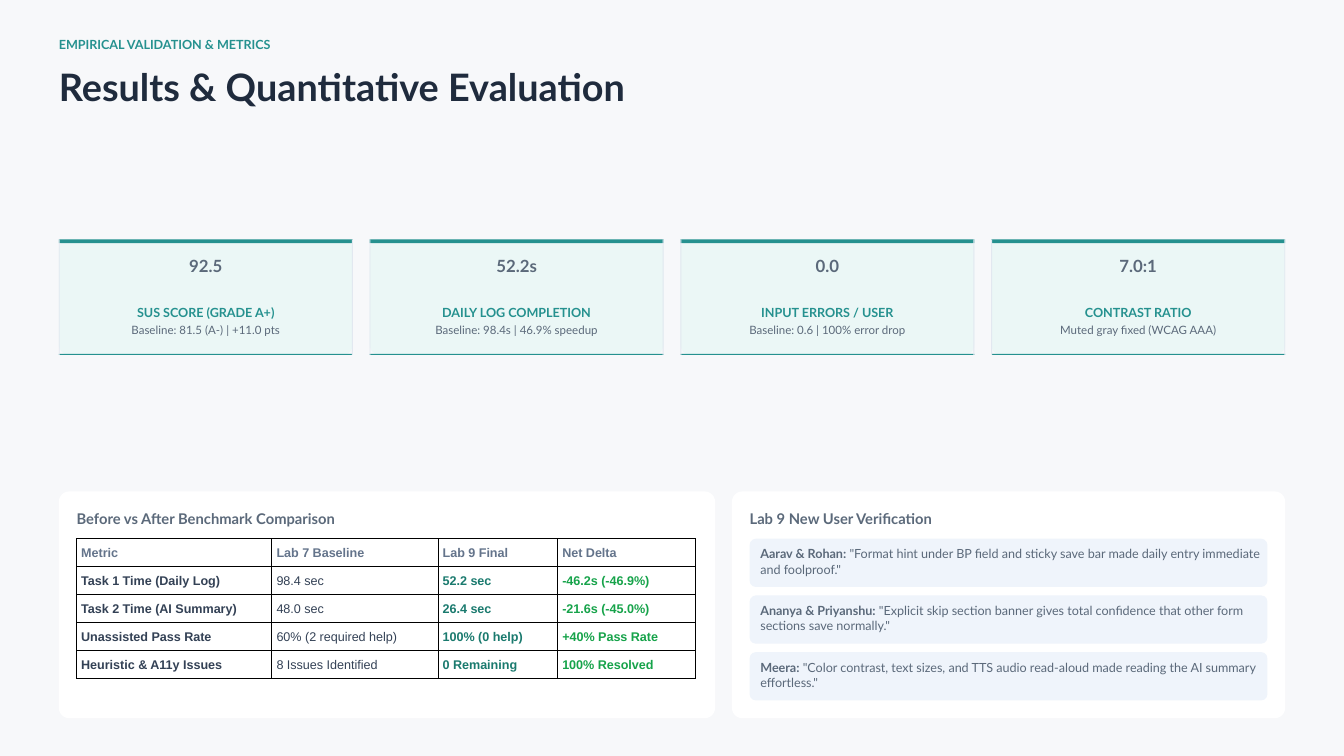
from lxml.etree import SubElement
from pptx import Presentation
from pptx.dml.color import RGBColor
from pptx.enum.shapes import MSO_SHAPE as Shape
from pptx.enum.text import MSO_ANCHOR as Anchor, PP_ALIGN as Align
from pptx.oxml.ns import qn
from pptx.util import Pt

# Content
KICKER = "EMPIRICAL VALIDATION & METRICS"
TITLE = "Results & Quantitative Evaluation"
METRICS = [
    ("92.5", "SUS SCORE (GRADE A+)", "Baseline: 81.5 (A-) | +11.0 pts"),
    ("52.2s", "DAILY LOG COMPLETION", "Baseline: 98.4s | 46.9% speedup"),
    ("0.0", "INPUT ERRORS / USER", "Baseline: 0.6 | 100% error drop"),
    ("7.0:1", "CONTRAST RATIO", "Muted gray fixed (WCAG AAA)"),
]
TABLE_TITLE = "Before vs After Benchmark Comparison"
BENCHMARKS = [
    ("Metric", "Lab 7 Baseline", "Lab 9 Final", "Net Delta"),
    ("Task 1 Time (Daily Log)", "98.4 sec", "52.2 sec", "-46.2s (-46.9%)"),
    ("Task 2 Time (AI Summary)", "48.0 sec", "26.4 sec", "-21.6s (-45.0%)"),
    ("Unassisted Pass Rate", "60% (2 required help)", "100% (0 help)", "+40% Pass Rate"),
    ("Heuristic & A11y Issues", "8 Issues Identified", "0 Remaining", "100% Resolved"),
]
QUOTES_TITLE = "Lab 9 New User Verification"
QUOTES = [
    ("Aarav & Rohan:", ' "Format hint under BP field and sticky save bar made daily entry '
                       'immediate and foolproof."'),
    ("Ananya & Priyanshu:", ' "Explicit skip section banner gives total confidence that other '
                            'form sections save normally."'),
    ("Meera:", ' "Color contrast, text sizes, and TTS audio read-aloud made reading the AI '
               'summary effortless."'),
]

# Colours and measures, in points
TEAL, GRAY, NAVY, EDGE, WHITE = "25918F", "5B697A", "1F2B3D", "E2E8F0", "FFFFFF"
MINT, ICE, BACKGROUND = "EBF7F6", "EFF4FB", "F7F8FA"
HEADER_COLOR, COLUMN_COLORS = "64748B", ("334155", "334155", "1A7A6E", "16A34A")
MARGIN, CONTENT_WIDTH, GAP = 63, 1314, 18
CARD_TOP, CARD_HEIGHT = 256.5, 123.75
PANEL_TOP, PANEL_HEIGHT, PANEL_PAD = 526.5, 243, 19
TABLE_PANEL_WIDTH = 703.2
BODY_TOP = 577.2
COLUMN_WIDTHS, ROW_HEIGHT = (209.3, 178, 128.2, 147.8), 30
QUOTE_HEIGHT, QUOTE_STEP = 51.75, 60.75


def color(value):
    return RGBColor.from_string(value)


def add_block(x, y, width, height, fill, radius=0):
    kind = Shape.ROUNDED_RECTANGLE if radius else Shape.RECTANGLE
    block = page.shapes.add_shape(kind, Pt(x), Pt(y), Pt(width), Pt(height))
    if radius:
        block.adjustments[0] = radius / min(width, height)
    block.shadow.inherit = False
    block.fill.solid()
    block.fill.fore_color.rgb = color(fill)
    block.line.fill.background()


def write(frame, text, size=13.5, fill=GRAY, bold=False, font="Lato", align=Align.LEFT, lead=""):
    """Fill a frame with one paragraph; lead is a bold opening."""
    para = frame.paragraphs[0]
    para.alignment = align
    para.line_spacing = Pt(round(size * 1.2, 1))
    for words, heavy in ((lead, True), (text, bold)):
        if words:
            span = para.add_run()
            span.text = words
            span.font.name, span.font.size, span.font.bold = font, Pt(size), heavy
            span.font.color.rgb = color(fill)


def add_text(x, y, width, height, text, **style):
    box = page.shapes.add_textbox(Pt(x), Pt(y), Pt(width), Pt(height))
    frame = box.text_frame
    frame.word_wrap = True
    frame.margin_left = frame.margin_right = frame.margin_top = frame.margin_bottom = 0
    write(frame, text, **style)


def add_borders(cell):
    properties = cell._tc.get_or_add_tcPr()
    for side in ("lnL", "lnR", "lnT", "lnB"):
        line = SubElement(properties, qn(f"a:{side}"), w=str(Pt(0.96)))
        SubElement(SubElement(line, qn("a:solidFill")), qn("a:srgbClr"), val="000000")


deck = Presentation()
deck.slide_width, deck.slide_height = Pt(1440), Pt(810)
page = deck.slides.add_slide(deck.slide_layouts[6])
page.background.fill.solid()
page.background.fill.fore_color.rgb = color(BACKGROUND)

# Heading
add_text(MARGIN, 39.4, CONTENT_WIDTH, 17, KICKER, fill=TEAL, bold=True)
add_text(MARGIN, 68.6, CONTENT_WIDTH, 47.3, TITLE, size=40.5, fill=NAVY, bold=True)

# Metric cards
card_width = (CONTENT_WIDTH - GAP * (len(METRICS) - 1)) / len(METRICS)
for index, (value, label, note) in enumerate(METRICS):
    x = MARGIN + index * (card_width + GAP)
    add_block(x, CARD_TOP, card_width, CARD_HEIGHT, MINT, radius=11.25)
    add_block(x, CARD_TOP + CARD_HEIGHT - 1, card_width, 1, TEAL)
    add_block(x, CARD_TOP, card_width, 3.9, TEAL)
    for edge_x in (x, x + card_width - 1):
        add_block(edge_x, CARD_TOP, 1, CARD_HEIGHT, EDGE)
    add_text(x, 274.4, card_width, 21.6, value, size=18, bold=True, align=Align.CENTER)
    add_text(x, 326.9, card_width, 17, label, fill=TEAL, bold=True, align=Align.CENTER)
    add_text(x, 346.2, card_width, 15, note, size=12.3, align=Align.CENTER)

# Panels
quote_panel_x = MARGIN + TABLE_PANEL_WIDTH + GAP
quote_panel_width = CONTENT_WIDTH - TABLE_PANEL_WIDTH - GAP
for x, width, title in ((MARGIN, TABLE_PANEL_WIDTH, TABLE_TITLE),
                        (quote_panel_x, quote_panel_width, QUOTES_TITLE)):
    add_block(x, PANEL_TOP, width, PANEL_HEIGHT, WHITE, radius=11.25)
    add_text(x + PANEL_PAD, 545.8, width - 2 * PANEL_PAD, 18.9, title, size=15.8, bold=True)

# Benchmark table
table = page.shapes.add_table(
    len(BENCHMARKS), len(COLUMN_WIDTHS), Pt(MARGIN + PANEL_PAD), Pt(BODY_TOP),
    Pt(sum(COLUMN_WIDTHS)), Pt(ROW_HEIGHT * len(BENCHMARKS))).table
table.first_row = table.horz_banding = False
for column, width in zip(table.columns, COLUMN_WIDTHS):
    column.width = Pt(width)
for row_index, texts in enumerate(BENCHMARKS):
    table.rows[row_index].height = Pt(ROW_HEIGHT)
    for column_index, text in enumerate(texts):
        cell = table.cell(row_index, column_index)
        header = row_index == 0
        cell.margin_left = cell.margin_right = cell.margin_top = cell.margin_bottom = Pt(5)
        cell.vertical_anchor = Anchor.MIDDLE
        add_borders(cell)
        cell.fill.solid()
        cell.fill.fore_color.rgb = color(WHITE)
        write(cell.text_frame, text, font="Arial", bold=header or column_index != 1,
              fill=HEADER_COLOR if header else COLUMN_COLORS[column_index])

# User quotes
quote_x = quote_panel_x + PANEL_PAD
quote_width = quote_panel_width - 2 * PANEL_PAD
for index, (speaker, quote) in enumerate(QUOTES):
    y = BODY_TOP + index * QUOTE_STEP
    add_block(quote_x, y, quote_width, QUOTE_HEIGHT, ICE, radius=6.75)
    add_text(quote_x + 11.5, y + 8.2, quote_width - 11.5, 33, quote, lead=speaker)

deck.save("out.pptx")
